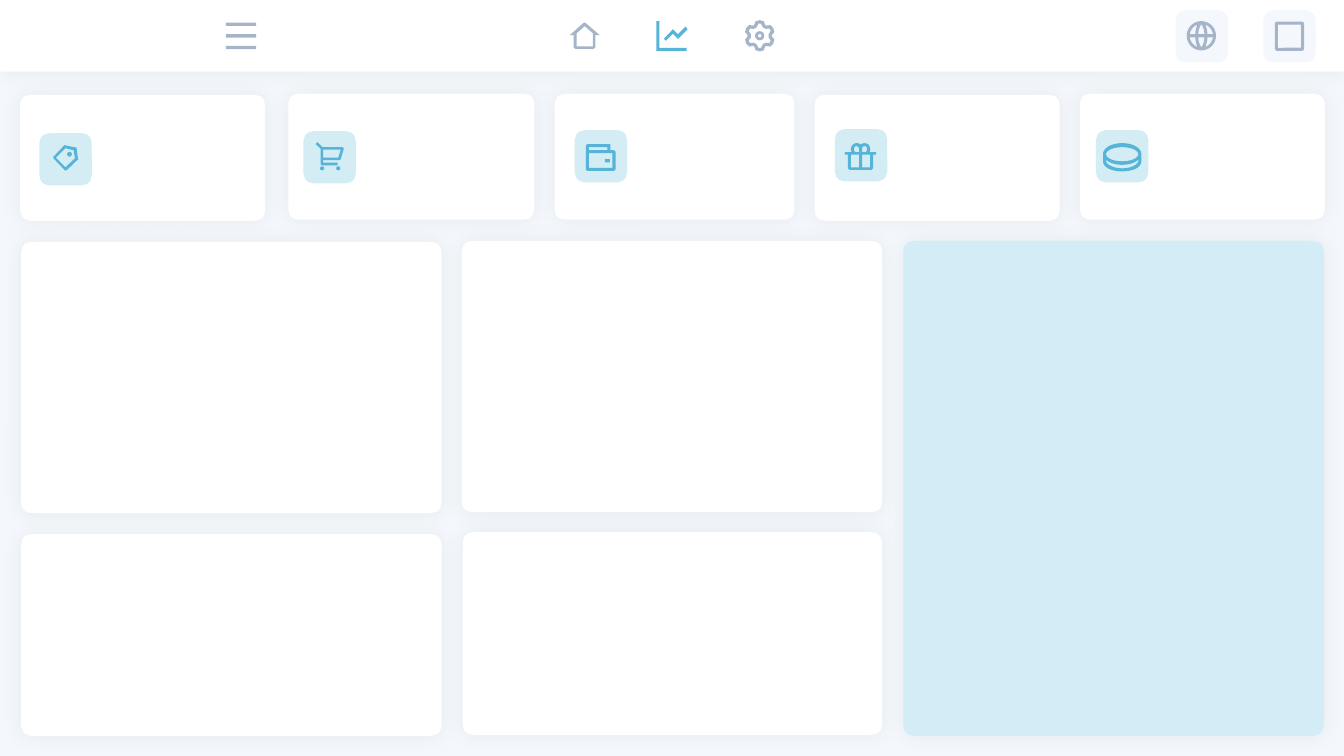
from math import cos, pi, radians, sin

from lxml.etree import SubElement
from pptx import Presentation
from pptx.dml.color import RGBColor
from pptx.enum.shapes import MSO_SHAPE
from pptx.oxml.ns import qn
from pptx.util import Inches, Pt

WHITE = RGBColor(0xFF, 0xFF, 0xFF)
PALE = RGBColor(0xF4, 0xF8, 0xFC)
SKY = RGBColor(0xD4, 0xEC, 0xF5)
BLUE = RGBColor(0x55, 0xB4, 0xD7)
GREY = RGBColor(0xA5, 0xB4, 0xC8)

TILE = 0.52   # side of an icon tile
ROUND = 0.1   # corner radius of cards and tiles


# Outline helpers: icon points are hundredths of an inch from the icon's origin
def box(l, t, r, b):
    return [(l, t), (r, t), (r, b), (l, b)]


def ring(x, y, rx, ry=None):
    ry = ry or rx
    return [(x + rx * cos(i * pi / 24), y + ry * sin(i * pi / 24))
            for i in range(48)]


def flip(line, x=None, y=None):
    """Mirror an outline about a vertical and/or a horizontal axis."""
    axes = (x, y)
    return [tuple(v if axes[i % 2] is None else 2 * axes[i % 2] - v
                  for i, v in enumerate(step)) for step in line]


def cog(x, y, tooth):
    return [(x + r * sin(radians(60 * n + a)), y - r * cos(radians(60 * n + a)))
            for n in range(6) for a, r in tooth]


# Icon outlines: a pair is a corner, six numbers are a Bezier curve
TAG = [
    [(12, 0), (24, 2.5), (25.5, 14), (14, 25), (12.5, 25), (1, 13), (1, 11.5)],
    [(13, 3), (3.5, 12.5), (13, 22), (22.5, 13), (21, 5)],
    ring(17, 9, 2.3),
]
CART = [
    [(5, 6.5), (0, 2), (2, 0), (7, 5), (27, 5), (28, 6.5), (25, 17), (23.5, 18),
     (7.5, 18), (7.5, 20.5), (22, 20.5), (22, 23), (6, 23), (5, 22)],
    [(7.5, 7.5), (7.5, 15.5), (22.5, 15.5), (25, 7.5)],
    ring(6.5, 26, 2), ring(22.5, 26, 2),
]
PURSE = [
    [(24.5, 6), (28, 6), (29.5, 7.5), (29.5, 25), (28, 26.5), (1.5, 26.5),
     (0, 25), (0, 1.5), (1.5, 0), (24.5, 0)],
    box(3, 9, 26.5, 23.5), box(3, 3, 21.5, 6), box(19, 15, 24, 18),
]
LOOP = [(11.5, 3), (13, 3, 14, 4, 14, 6), (14, 9), (11.5, 9),
        (10, 9, 9, 8, 9, 6), (9, 4, 10, 3, 11.5, 3)]
GIFT = [
    [(12, 0), (8, 0, 6, 3, 6, 6), (6, 7, 6, 8, 7, 9), (0, 9), (0, 11.5),
     (3, 11.5), (3, 25), (4.5, 26.5), (26.5, 26.5), (28, 25), (28, 11.5),
     (31, 11.5), (31, 9), (24.5, 9), (25.5, 6, 25, 3, 23, 1),
     (20, -0.5, 17, 0, 15.5, 1.5), (14.5, 0.5, 13, 0, 12, 0)],
    box(6, 11.5, 14, 24), box(17, 11.5, 25, 24), LOOP, flip(LOOP, x=15.5),
]
COIN = [
    [(19, 0), (30, 0, 38, 5, 38, 11), (38, 18), (38, 24, 30, 28, 19, 28),
     (8, 28, 0, 24, 0, 18), (0, 11), (0, 5, 8, 0, 19, 0)],
    [(19, 21.5), (13, 21.5, 7, 20, 3, 16.5), (3, 17.5), (3, 21, 10, 25, 19, 25),
     (28, 25, 35, 21, 35, 17.5), (35, 16.5), (31, 20, 25, 21.5, 19, 21.5)],
    ring(19, 11, 16, 7),
]
TREND = [
    [(0, 0), (3, 0), (3, 26.5), (30, 26.5), (30, 29.5), (0, 29.5)],
    [(29, 5.5), (31, 8), (21.5, 17.5), (16.5, 12.5), (9.5, 19.5), (7.5, 17.5),
     (16.5, 8), (21.5, 13)],
]
GEAR = [
    cog(14.5, 15.5, [(-16, 15), (0, 15.5), (16, 15), (22, 13), (30, 11.7), (38, 13)]),
    cog(14.5, 15.5, [(-6, 12), (6, 12), (20, 9), (40, 9)]),
    ring(14.5, 15.5, 4.5), ring(14.5, 15.5, 1.7),
]
HOME = [
    [(24, 26.5), (5.5, 26.5), (4, 25), (4, 13), (0, 13), (14, 0.5), (15.5, 0.5),
     (30, 13), (25.5, 13), (25.5, 25)],
    [(7, 24), (23, 24), (23, 11), (15, 4), (7, 11)],
]
MID = 14.5
SIDE = [(3, 13), (8.5, 13), (8.5, 9.5, 9.5, 6, 10.5, 3.5), (6.5, 5, 3.5, 9, 3, 13)]
CORE = [(11.5, 13), (17.5, 13), (17.5, 9.5, 16.5, 6, MID, 3),
        (12.5, 6, 11.5, 9.5, 11.5, 13)]
GLOBE = [ring(MID, MID, 14.5), SIDE, flip(SIDE, x=MID), flip(SIDE, y=MID),
         flip(SIDE, x=MID, y=MID), CORE, flip(CORE, y=MID)]
MENU = [box(0, t, 30, t + 3.3) for t in (0.5, 12, 23.5)]

# Cards: left, top, width, height, fill
CARDS = [
    (0.2, 0.94, 2.43, 1.25, WHITE), (2.86, 0.93, 2.44, 1.25, WHITE),
    (5.5, 0.93, 2.38, 1.25, WHITE), (8.08, 0.94, 2.43, 1.25, WHITE),
    (10.71, 0.93, 2.43, 1.25, WHITE),
    (0.21, 2.4, 4.17, 2.69, WHITE), (4.58, 2.39, 4.17, 2.69, WHITE),
    (0.21, 5.3, 4.17, 2, WHITE), (4.59, 5.28, 4.16, 2.01, WHITE),
    (8.96, 2.39, 4.17, 4.91, SKY),
]
# Tiles: left, top, fill, opacity in percent
TILES = [
    (0.39, 1.32, BLUE, 25), (3.01, 1.3, BLUE, 25), (5.7, 1.29, BLUE, 25),
    (8.28, 1.28, BLUE, 25), (10.87, 1.29, BLUE, 25),
    (11.66, 0.1, PALE, 100), (12.53, 0.1, PALE, 100),
]
# Icons: outline, left, top, colour
ICONS = [
    (TAG, 0.52, 1.44, BLUE), (CART, 3.13, 1.41, BLUE), (PURSE, 5.81, 1.43, BLUE),
    (GIFT, 8.38, 1.42, BLUE), (COIN, 10.94, 1.42, BLUE), (TREND, 6.51, 0.21, BLUE),
    (GEAR, 7.39, 0.2, GREY), (HOME, 5.65, 0.22, GREY), (GLOBE, 11.77, 0.21, GREY),
    (MENU, 2.24, 0.22, GREY),
]

deck = Presentation()
deck.slide_width, deck.slide_height = Inches(13.33), Inches(7.5)
shapes = deck.slides.add_slide(deck.slide_layouts[6]).shapes


def paint(shape, fill):
    shape.shadow.inherit = False
    shape.fill.solid()
    shape.fill.fore_color.rgb = fill
    shape.line.fill.background()
    return shape


def rect(l, t, w, h, fill, curve=0):
    kind = MSO_SHAPE.ROUNDED_RECTANGLE if curve else MSO_SHAPE.RECTANGLE
    shape = shapes.add_shape(kind, Inches(l), Inches(t), Inches(w), Inches(h))
    if curve:
        shape.adjustments[0] = curve / min(w, h)
    return paint(shape, fill)


def glow(shape):
    """Give the shape a faint blurred shadow on all sides."""
    effects = shape.element.spPr.find(qn("a:effectLst"))
    shade = SubElement(effects, qn("a:outerShdw"), blurRad=str(Inches(0.2)),
                       dist="0", algn="ctr", rotWithShape="0")
    tint = SubElement(shade, qn("a:srgbClr"), val="000000")
    SubElement(tint, qn("a:alpha"), val="5000")


def trace(line, l, t):
    """Turn an outline into slide points, with curves cut into short steps."""
    dots = []
    for step in line:
        if len(step) == 2:
            dots.append(step)
            continue
        ends = [dots[-1], step[:2], step[2:4], step[4:]]
        for i in range(1, 13):
            u = i / 12
            parts = ((1 - u) ** 3, 3 * u * (1 - u) ** 2, 3 * u * u * (1 - u), u ** 3)
            dots.append(tuple(sum(k * p[n] for k, p in zip(parts, ends))
                              for n in (0, 1)))
    return [(Inches(l + x / 100), Inches(t + y / 100)) for x, y in dots]


def icon(lines, l, t, fill):
    first, *rest = [trace(line, l, t) for line in lines]
    pen = shapes.build_freeform(*first[0])
    pen.add_line_segments(first[1:], close=True)
    for dots in rest:
        pen.move_to(*dots[0])
        pen.add_line_segments(dots[1:], close=True)
    paint(pen.convert_to_shape(), fill)


# Background, cards and header bar
rect(0, 0, 13.33, 7.5, PALE)
for card in CARDS:
    glow(rect(*card, curve=ROUND))
glow(rect(0, 0, 13.33, 0.71, WHITE))

# Icon tiles
for l, t, fill, alpha in TILES:
    tile = rect(l, t, TILE, TILE, fill, ROUND)
    if alpha < 100:
        tint = tile.element.spPr.find(qn("a:solidFill"))[0]
        SubElement(tint, qn("a:alpha"), val=str(alpha * 1000))

# Icons
for item in ICONS:
    icon(*item)

# Plain frame in the last header tile
frame = rect(12.66, 0.23, 0.26, 0.26, PALE, 0.01)
frame.line.color.rgb = GREY
frame.line.width = Pt(2.25)

deck.save("out.pptx")
